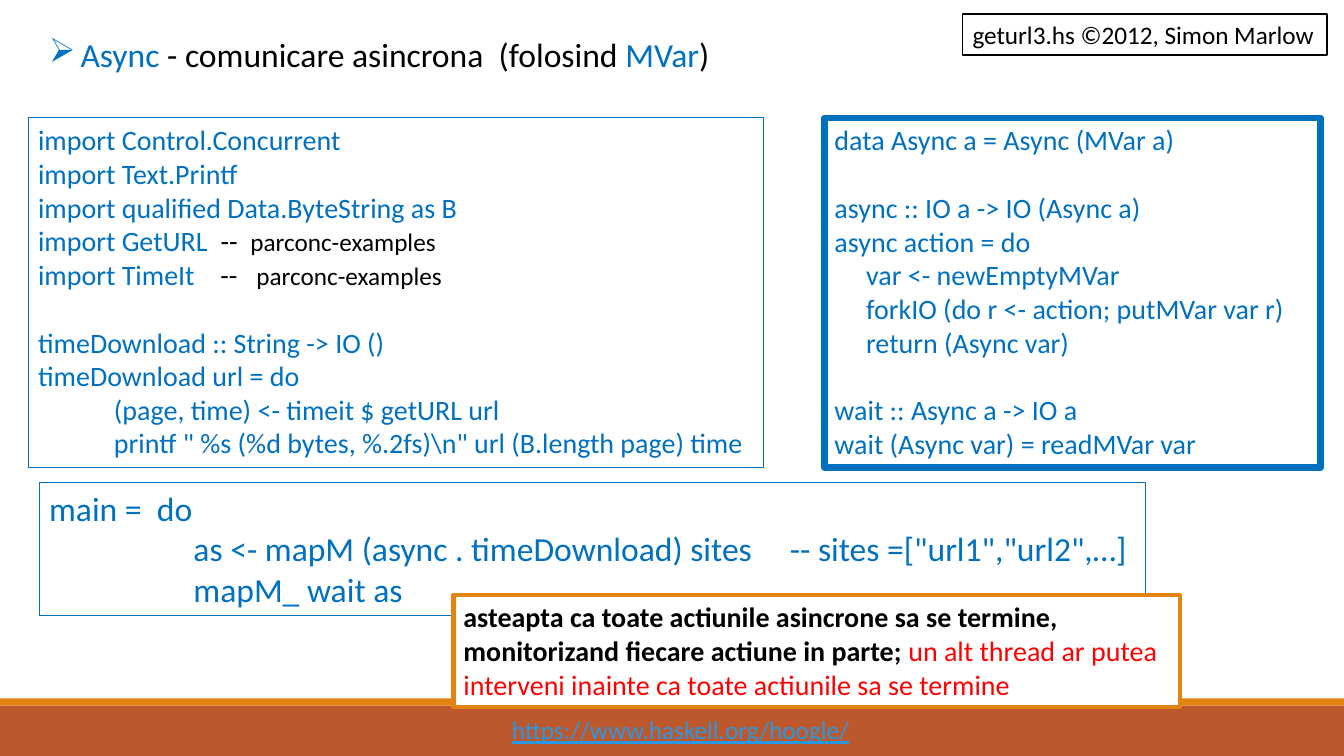
from dataclasses import dataclass
from typing import Optional

import lxml.etree
import pptx
import pptx.dml.color
import pptx.enum.shapes
import pptx.enum.text
import pptx.oxml.ns
import pptx.util

Cm = pptx.util.Cm
Pt = pptx.util.Pt

HUES = {
    "white": "FFFFFF",
    "black": "000000",
    "blue": "0070C0",
    "red": "FF0000",
    "rust": "BD582C",
    "orange": "E48312",
    "link": "2998E3",
}
FONT = "Calibri"
WIDE, HIGH = 33.87, 19.05
LINE_GAP = 24.4
HANG = 0.79


@dataclass(frozen=True)
class Span:
    text: str
    hue: str = "blue"
    size: Optional[float] = None
    bold: bool = False
    under: bool = False


@dataclass(frozen=True)
class Line:
    spans: tuple[Span, ...]
    gap: float = 0
    bullet: str = ""


@dataclass(frozen=True)
class Box:
    left: float
    top: float
    width: float
    height: float
    size: float = 20
    lines: tuple[Line, ...] = ()
    fill: str = ""
    edge: str = ""
    weight: float = 0
    wrap: bool = False


def tint(name: str) -> pptx.dml.color.RGBColor:
    return pptx.dml.color.RGBColor.from_string(HUES[name])


def code(text: str, gap: float = 0) -> Line:
    return Line((Span(text),), gap)


def usage(text: str, dashes: str) -> Line:
    return Line((Span(text), Span(dashes, "black"),
                 Span("parconc-examples", "black", 18)))


def write_line(para, line: Line, size: float) -> None:
    para.alignment = pptx.enum.text.PP_ALIGN.LEFT
    if line.gap:
        para.space_before = Pt(line.gap)
    if line.bullet:
        props = para._p.get_or_add_pPr()
        props.set("marL", str(Cm(HANG)))
        props.set("indent", str(-Cm(HANG)))
        mark = lxml.etree.SubElement(props, pptx.oxml.ns.qn("a:buChar"))
        mark.set("char", line.bullet)
    para.text = line.spans[0].text
    for span in line.spans[1:]:
        para.add_run().text = span.text
    for run, span in zip(para.runs, line.spans):
        run.font.name = FONT
        run.font.size = Pt(span.size or size)
        run.font.bold = span.bold
        run.font.underline = span.under
        run.font.color.rgb = tint(span.hue)


def draw_box(slide, box: Box) -> None:
    place = [Cm(n) for n in (box.left, box.top, box.width, box.height)]
    if box.fill or box.edge:
        shape = slide.shapes.add_shape(
            pptx.enum.shapes.MSO_SHAPE.RECTANGLE, *place)
        shape.shadow.inherit = False
        if box.fill:
            shape.fill.solid()
            shape.fill.fore_color.rgb = tint(box.fill)
        else:
            shape.fill.background()
        if box.edge:
            shape.line.color.rgb = tint(box.edge)
            shape.line.width = Pt(box.weight)
        else:
            shape.line.fill.background()
    else:
        shape = slide.shapes.add_textbox(*place)
    if not box.lines:
        return
    frame = shape.text_frame
    frame.word_wrap = box.wrap
    frame.auto_size = pptx.enum.text.MSO_AUTO_SIZE.SHAPE_TO_FIT_TEXT
    frame.vertical_anchor = pptx.enum.text.MSO_ANCHOR.TOP
    for spot, line in enumerate(box.lines):
        para = frame.add_paragraph() if spot else frame.paragraphs[0]
        write_line(para, line, box.size)


BOXES = (
    Box(0, 17.78, WIDE, 1.27, fill="rust"),
    Box(0, 17.6, WIDE, 0.18, fill="orange"),
    Box(12.65, 17.88, 9.12, 1.02, 18, (
        Line((Span("https://www.haskell.org/hoogle/", "link", under=True),)),
    )),
    Box(20.78, 2.97, 12.5, 8.81, 20, (
        code("data Async a = Async (MVar a)"),
        code("async :: IO a -> IO (Async a)", LINE_GAP),
        code("async action = do"),
        code("     var <- newEmptyMVar"),
        code("     forkIO (do r <- action; putMVar var r)"),
        code("     return (Async var)"),
        code("wait :: Async a -> IO a", LINE_GAP),
        code("wait (Async var) = readMVar var"),
    ), edge="blue", weight=4.5, wrap=True),
    Box(0.71, 2.97, 18.54, 8.81, 20, (
        code("import Control.Concurrent"),
        code("import Text.Printf"),
        code("import qualified Data.ByteString as B"),
        usage("import GetURL  ", "--  "),
        usage("import TimeIt    ", "--   "),
        code("timeDownload :: String -> IO ()", LINE_GAP),
        code("timeDownload url = do"),
        code("            (page, time) <- timeit $ getURL url"),
        code('            printf " %s (%d bytes, %.2fs)\\n" url (B.length page) time'),
    ), edge="blue", weight=0.75, wrap=True),
    Box(0.99, 12.17, 27.89, 3.33, 24, (
        code("main =  do"),
        code('                   as <- mapM (async . timeDownload) sites     -- sites =["url1","url2",…]'),
        code("                   mapM_ wait as"),
    ), edge="blue", weight=0.75),
    Box(0.99, 0.74, 17.5, 1.27, 24, (
        Line((Span("Async"),
              Span(" - comunicare asincrona  (folosind ", "black"),
              Span("MVar"), Span(")", "black")), bullet="➢"),
    )),
    Box(24.26, 0.36, 9.19, 1.02, 18, (
        Line((Span("geturl3.hs ©2012, Simon Marlow", "black"),)),
    ), "white", "black", 1.25),
    Box(11.43, 14.99, 18.31, 2.82, 20, (
        Line((Span("asteapta ca toate actiunile asincrone sa se termine,",
                   "black", bold=True),)),
        Line((Span("monitorizand fiecare actiune in parte; ", "black", bold=True),
              Span("un alt thread ar putea", "red"))),
        Line((Span("interveni inainte ca toate actiunile sa se termine", "red"),)),
    ), "white", "orange", 3),
)


def main() -> None:
    deck = pptx.Presentation()
    deck.slide_width, deck.slide_height = Cm(WIDE), Cm(HIGH)
    slide = deck.slides.add_slide(deck.slide_layouts[6])
    for box in BOXES:
        draw_box(slide, box)
    deck.save("out.pptx")


if __name__ == "__main__":
    main()
